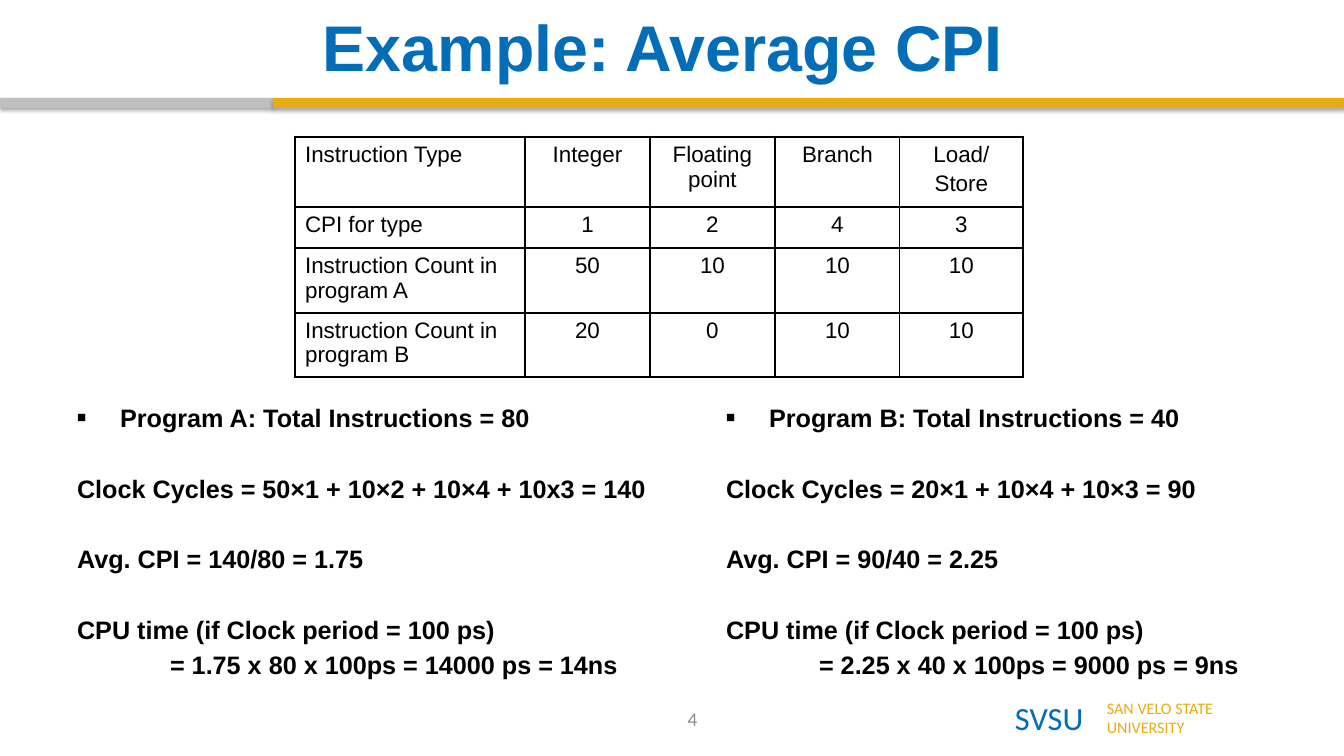
from lxml.etree import SubElement
from pptx import Presentation
from pptx.dml.color import RGBColor
from pptx.enum.shapes import MSO_SHAPE
from pptx.enum.text import MSO_ANCHOR, MSO_AUTO_SIZE, PP_ALIGN
from pptx.oxml.ns import qn
from pptx.util import Emu, Pt

BLUE = RGBColor(0x03, 0x6D, 0xB7)
GOLD = RGBColor(0xE7, 0xAC, 0x11)
SILVER = RGBColor(0xBF, 0xBF, 0xBF)
GRAY = RGBColor(0x8C, 0x8C, 0x8C)
BLACK = RGBColor(0, 0, 0)

INSTRUCTIONS = [
    ["Instruction Type", "Integer", "Floating point", "Branch", "Load/\nStore"],
    ["CPI for type", "1", "2", "4", "3"],
    ["Instruction Count in program A", "50", "10", "10", "10"],
    ["Instruction Count in program B", "20", "0", "10", "10"],
]
PROGRAM_A = [
    "Program A: Total Instructions = 80",
    "Clock Cycles = 50×1 + 10×2 + 10×4 + 10x3 = 140",
    "Avg. CPI = 140/80 = 1.75",
    "CPU time (if Clock period = 100 ps)",
    "= 1.75 x 80 x 100ps = 14000 ps = 14ns",
]
PROGRAM_B = [
    "Program B: Total Instructions = 40",
    "Clock Cycles = 20×1 + 10×4 + 10×3 = 90",
    "Avg. CPI = 90/40 = 2.25",
    "CPU time (if Clock period = 100 ps)",
    "= 2.25 x 40 x 100ps = 9000 ps = 9ns",
]


def px(length):
    return Emu(round(length * 914400 / 100.8))


class SlideBuilder:
    heading_font = "Arial"
    footer_font = "Calibri"

    def __init__(self, page):
        self.page = page

    def style(self, para, size, color, font, bold=False, align=PP_ALIGN.LEFT):
        para.alignment = align
        para.font.size = Pt(size)
        para.font.name = font
        para.font.bold = bold
        para.font.color.rgb = color

    def place(self, shape, left, top, width, height):
        shape.left, shape.top = px(left), px(top)
        shape.width, shape.height = px(width), px(height)
        shape.text_frame.auto_size = MSO_AUTO_SIZE.NONE
        shape.text_frame.word_wrap = True

    def title(self, text, *bounds):
        title = self.page.shapes.title
        self.place(title, *bounds)
        title.text_frame.text = text
        title.text_frame.vertical_anchor = MSO_ANCHOR.MIDDLE
        self.style(title.text_frame.paragraphs[0], 46.1, BLUE,
                   self.heading_font, True, PP_ALIGN.CENTER)

    def bar(self, color, *bounds):
        bar = self.page.shapes.add_shape(MSO_SHAPE.RECTANGLE, *map(px, bounds))
        bar.fill.solid()
        bar.fill.fore_color.rgb = color
        bar.line.fill.background()
        bar.shadow.inherit = False
        effects = bar.element.spPr.find(qn("a:effectLst"))
        shadow = SubElement(effects, qn("a:outerShdw"), blurRad=str(Pt(3.1)),
                            dist=str(Pt(1.8)), dir="5400000", rotWithShape="0")
        tint = SubElement(shadow, qn("a:srgbClr"), val="000000")
        SubElement(tint, qn("a:alpha"), val="35000")

    def text(self, text, size, color, *bounds,
             align=PP_ALIGN.LEFT, anchor=MSO_ANCHOR.TOP):
        box = self.page.shapes.add_textbox(*map(px, bounds))
        box.text_frame.word_wrap = True
        box.text_frame.vertical_anchor = anchor
        box.text_frame.text = text
        for para in box.text_frame.paragraphs:
            self.style(para, size, color, self.footer_font, align=align)

    def border(self, cell, side, weight):
        line = SubElement(cell._tc.get_or_add_tcPr(), qn(f"a:ln{side}"),
                          w=str(Pt(weight)))
        fill = SubElement(line, qn("a:solidFill"))
        SubElement(fill, qn("a:srgbClr"), val=str(BLACK))

    def table(self, rows, left, top, widths, heights):
        frame = self.page.shapes.add_table(
            len(rows), len(widths), px(left), px(top),
            px(sum(widths)), px(sum(heights)))
        table = frame.table
        table.first_row = table.horz_banding = False
        for column, width in zip(table.columns, widths):
            column.width = px(width)
        for row, height in zip(table.rows, heights):
            row.height = px(height)
        last_row, last_column = len(rows) - 1, len(widths) - 1
        for r, row in enumerate(rows):
            for c, text in enumerate(row):
                cell = table.cell(r, c)
                cell.text = text
                # Heavy frame and header rule, thin inner lines
                heavy_sides = {"L": c == 0, "R": c == last_column,
                               "T": r <= 1, "B": r in (0, last_row)}
                for side, heavy in heavy_sides.items():
                    self.border(cell, side, 2.25 if heavy else 1)
                cell.fill.background()
                for index, para in enumerate(cell.text_frame.paragraphs):
                    para.space_before = Pt(3.2 if index else 0)
                    self.style(para, 16, BLACK, self.heading_font,
                               align=PP_ALIGN.CENTER if c else PP_ALIGN.LEFT)

    def program(self, placeholder, lines, *bounds):
        self.place(placeholder, *bounds)
        frame = placeholder.text_frame
        frame.text = "\n".join(lines)
        last = len(lines) - 1
        for index, para in enumerate(frame.paragraphs):
            props = para._p.get_or_add_pPr()
            bulleted = index == 0
            margin = 43 if bulleted else 93 if index == last else 0
            props.set("marL", str(px(margin)))
            props.set("indent", str(px(-margin if bulleted else 0)))
            if bulleted:
                SubElement(props, qn("a:buSzPct"), val="60000")
                SubElement(props, qn("a:buChar"), char="■")
            else:
                SubElement(props, qn("a:buNone"))
            para.space_before = Pt(0 if bulleted else 3 if index == last else 29)
            self.style(para, 18, BLACK, self.heading_font, True)


def main():
    deck = Presentation()
    deck.slide_width, deck.slide_height = px(1344), px(756)
    page = deck.slides.add_slide(deck.slide_layouts.get_by_name("Two Content"))
    builder = SlideBuilder(page)

    # Heading and divider
    builder.bar(SILVER, 0, 98, 273, 10)
    builder.bar(GOLD, 273, 98, 1071, 10)
    builder.title("Example: Average CPI ", 67, 7, 1210, 77)

    # Instruction mix
    builder.table(INSTRUCTIONS, 295, 137,
                  [230, 125, 125, 125, 123], [70, 41, 65, 64])

    # Calculations for both programs
    builder.program(page.placeholders[1], PROGRAM_A, 67, 397, 665, 281)
    builder.program(page.placeholders[2], PROGRAM_B, 716, 397, 613, 301)

    # Footer
    builder.text("SVSU", 23.1, BLUE, 1005, 693, 92, 49)
    builder.text("SAN VELO STATE\nUNIVERSITY", 11.5, GOLD, 1097, 693, 140, 49)
    builder.text("4", 13.8, GRAY, 536, 699, 313, 40,
                 align=PP_ALIGN.CENTER, anchor=MSO_ANCHOR.MIDDLE)

    deck.save("out.pptx")


if __name__ == "__main__":
    main()
